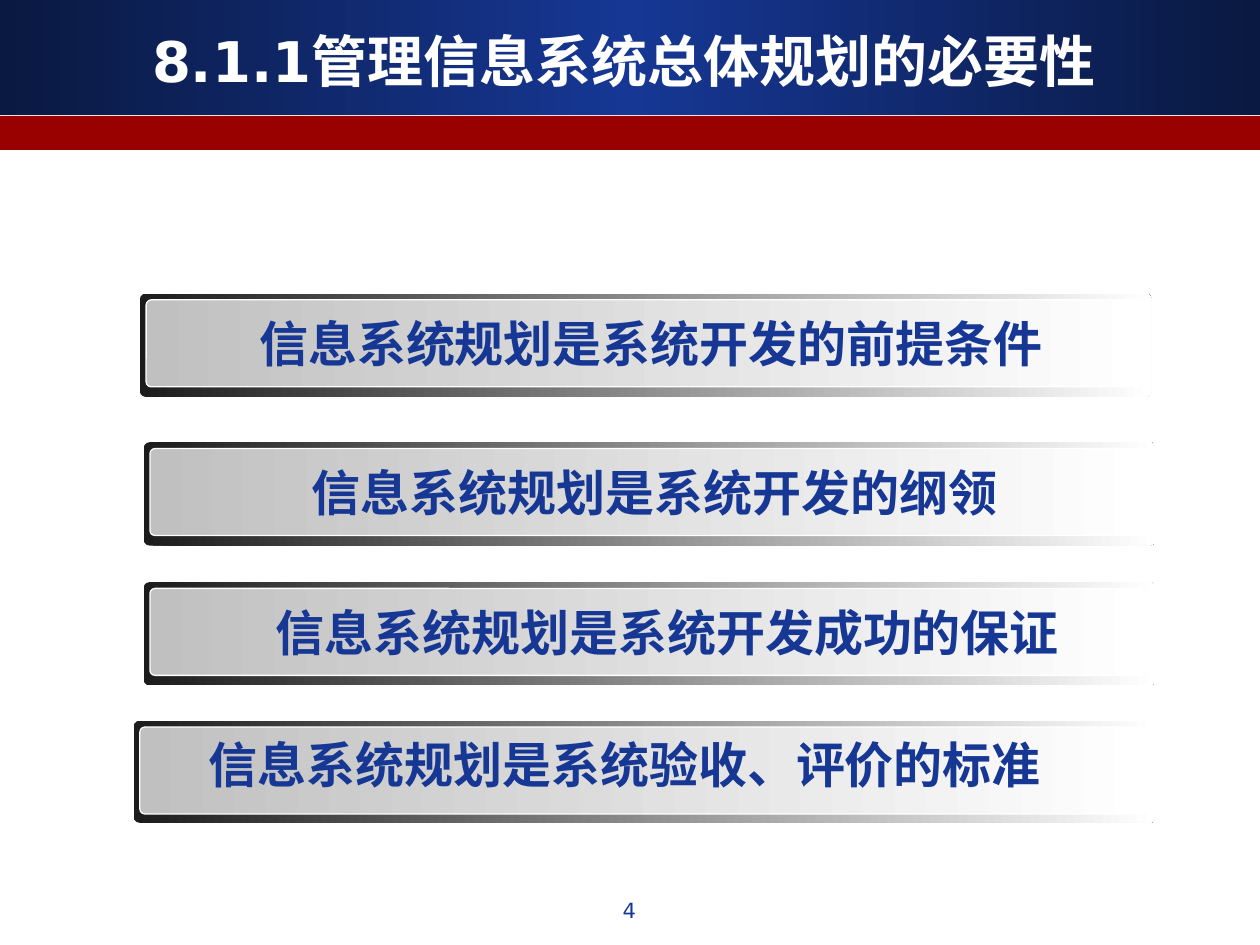
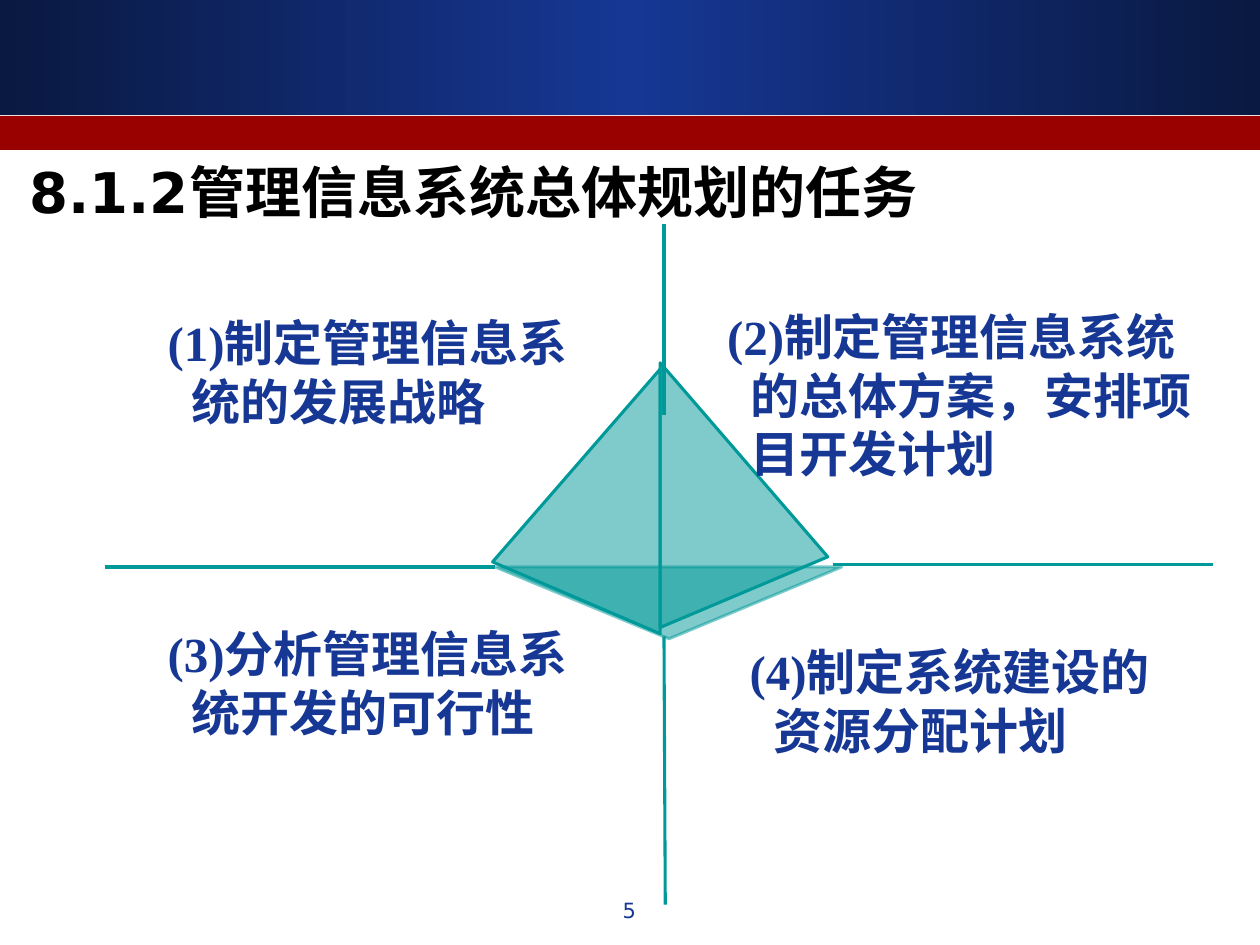
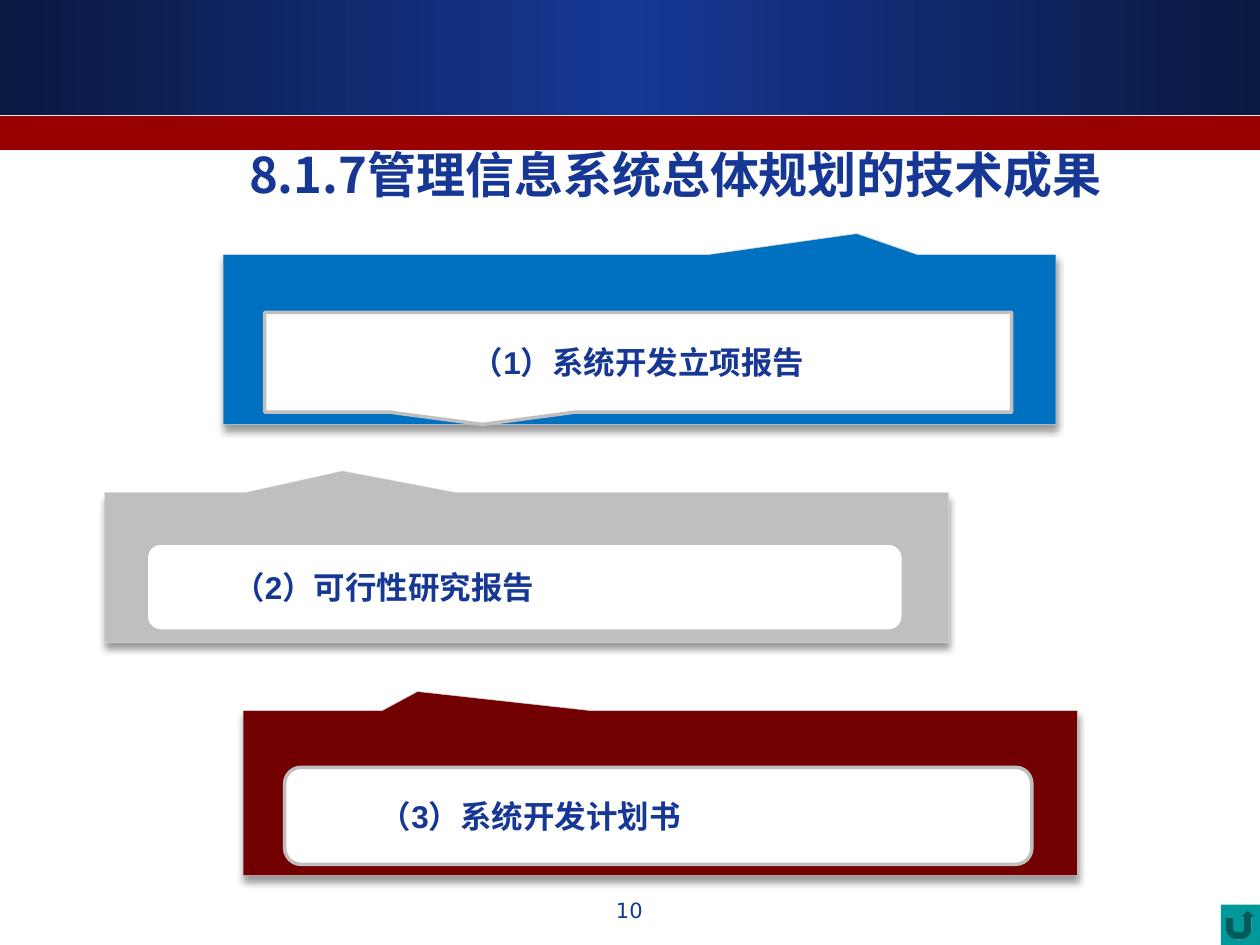
from lxml.etree import SubElement
from pptx import Presentation
from pptx.dml.color import RGBColor
from pptx.enum.shapes import MSO_CONNECTOR, MSO_SHAPE
from pptx.enum.text import MSO_ANCHOR, MSO_AUTO_SIZE, PP_ALIGN
from pptx.oxml.ns import qn
from pptx.util import Inches, Pt

# ---- shared look ----
W, H = 10, 7.5
NAVY, BLUE, RED, TEAL = "0A1941", "163794", "990000", "009999"
WHITE, BLACK, SILVER, PALE = "FFFFFF", "000000", "BFBFBF", "D9D9D9"
SANS, HAN, PLAIN, SERIF = "DejaVu Sans", "Noto Sans CJK SC", "Arial", "Times New Roman"
PADS = (0.1, 0.05, 0.1, 0.05)
LEFT, MID = PP_ALIGN.LEFT, PP_ALIGN.CENTER
ROUND, CALL = MSO_SHAPE.ROUNDED_RECTANGLE, MSO_SHAPE.RECTANGULAR_CALLOUT

# ---- content ----
NEEDS = {
    "page": 4,
    "title": ("8.1.1管理信息系统总体规划的必要性", (0.33, 0.17, 9.25, 0.62), 32, SANS, WHITE),
    # text, left, top, width, height, text height, align, left and right pad
    "bars": [
        ("信息系统规划是系统开发的前提条件", 1.11, 2.33, 8.03, 0.82, 0.57, MID, 0.1, 0.2),
        ("信息系统规划是系统开发的纲领", 1.14, 3.51, 8.03, 0.82, 0.57, MID, 0.1, 0.2),
        ("信息系统规划是系统开发成功的保证", 1.14, 4.62, 8.03, 0.82, 0.57, MID, 0.2, 0.1),
        ("信息系统规划是系统验收、评价的标准", 1.06, 5.72, 8.11, 0.81, 0.53, LEFT, 0.1, 0.1),
    ],
}
TASKS = {
    "page": 5,
    "title": ("8.1.2管理信息系统总体规划的任务", (-0.14, 1.16, 7.8, 0.72), 32, SANS, BLACK),
    "notes": [
        ("(1)制定管理信息系统的发展战略", (1.33, 2.43, 3.35, 1.72), (0, 0.05, 0, 0)),
        ("(2)制定管理信息系统的总体方案，安排项目开发计划",
         (5.72, 2.43, 3.88, 1.41), (0.05, 0, 0, 0)),
        ("(3)分析管理信息系统开发的可行性", (1.33, 4.9, 3.51, 1.37), (0, 0.05, 0, 0)),
        ("(4)制定系统建设的资源分配计划", (5.9, 5.09, 3.51, 1.18), (0.05, 0, 0, 0)),
    ],
    "axes": [(5.27, 1.78, 5.27, 3.29), (0.83, 4.5, 3.93, 4.5),
             (6.61, 4.48, 9.63, 4.48), (5.27, 5.05, 5.28, 7.18)],
    "right": [(5.24, 2.88), (5.24, 4.98), (6.57, 4.42)],
    "left": [(5.24, 2.93), (5.24, 5.03), (3.91, 4.46)],
    "base": [(3.93, 4.5), (6.68, 4.5), (5.31, 5.07)],
}
RESULTS = {
    "page": 10,
    "title": ("8.1.7管理信息系统总体规划的技术成果", (1.46, 1.07, 7.8, 0.62), 28, HAN, BLUE),
    # text, frame, pointer, colour, panel, panel kind, align, indent
    "cards": [
        ("（1）系统开发立项报告", (1.77, 2.02, 6.61, 1.35), (0.261, -0.623), "0070C0",
         (2.1, 2.48, 5.93, 0.79), CALL, MID, 0),
        ("（2）可行性研究报告", (0.83, 3.91, 6.7, 1.19), (-0.218, -0.644), SILVER,
         (1.16, 4.31, 6.01, 0.7), ROUND, LEFT, 0.56),
        ("（3）系统开发计划书", (1.93, 5.64, 6.62, 1.31), (-0.291, -0.616), "730000",
         (2.26, 6.09, 5.93, 0.77), ROUND, LEFT, 0.62),
    ],
}


def rgb(code):
    """Turn a hex string into a colour."""
    return RGBColor.from_string(code)


def fade(node, share):
    """Make every plain colour below a node partly clear."""
    for tint in node.iter(qn("a:srgbClr")):
        SubElement(tint, qn("a:alpha"), val=str(share * 1000))


def blend(shape, tints):
    """Fill a shape with evenly spaced colours from left to right."""
    shape.fill.gradient()
    shape.fill.gradient_angle = 0
    stops = shape._element.spPr.find(qn("a:gradFill")).find(qn("a:gsLst"))
    for stop in list(stops):
        stops.remove(stop)
    for i, tint in enumerate(tints):
        stop = SubElement(stops, qn("a:gs"), pos=str(100000 * i // (len(tints) - 1)))
        SubElement(stop, qn("a:srgbClr"), val=tint)


def paint(shape, fill, line=None, width=1.0):
    """Set a flat or blended fill and an optional outline, without shadow."""
    shape.shadow.inherit = False
    if isinstance(fill, str):
        shape.fill.solid()
        shape.fill.fore_color.rgb = rgb(fill)
    else:
        blend(shape, fill)
    if line:
        shape.line.color.rgb = rgb(line)
        shape.line.width = Pt(width)
    else:
        shape.line.fill.background()


def block(slide, kind, box, fill, line=None, width=1.0, bends=()):
    """Add a painted preset shape."""
    shape = slide.shapes.add_shape(kind, *map(Inches, box))
    for i, bend in enumerate(bends):
        shape.adjustments[i] = bend
    paint(shape, fill, line, width)
    return shape


def shade(shape):
    """Give a shape a soft shadow that falls straight down."""
    drop = SubElement(shape._element.spPr.find(qn("a:effectLst")), qn("a:outerShdw"),
                      blurRad=str(Pt(4)), dist=str(Pt(3)), dir="5400000",
                      algn="t", rotWithShape="0")
    SubElement(drop, qn("a:srgbClr"), val=BLACK)
    fade(drop, 40)


def write(shape, text, size, font, tint, bold=True, align=LEFT,
          pads=PADS, anchor=MSO_ANCHOR.TOP, indent=0, hang=0):
    """Put one formatted paragraph in a shape."""
    frame = shape.text_frame
    frame.word_wrap = True
    frame.vertical_anchor = anchor
    (frame.margin_left, frame.margin_top,
     frame.margin_right, frame.margin_bottom) = map(Inches, pads)
    para = frame.paragraphs[0]
    para.text = text
    para.alignment = align
    props = para._p.get_or_add_pPr()
    props.set("marL", str(Inches(indent)))
    props.set("indent", str(Inches(-hang)))
    run = para.runs[0]
    run.font.size, run.font.bold, run.font.name = Pt(size), bold, font
    run.font.color.rgb = rgb(tint)
    SubElement(run._r.get_or_add_rPr(), qn("a:ea"), typeface=HAN)
    return para


def label(slide, box, *args, **more):
    """Add a text box with one paragraph."""
    shape = slide.shapes.add_textbox(*map(Inches, box))
    return shape, write(shape, *args, **more)


def start(deck, topic):
    """Add a slide with its bands, title and page number."""
    slide = deck.slides.add_slide(deck.slide_layouts[6])
    block(slide, MSO_SHAPE.RECTANGLE, (0, 0, W, 0.91), (NAVY, BLUE, NAVY))
    block(slide, MSO_SHAPE.RECTANGLE, (0, 0.92, W, 0.27), RED)
    text, box, size, font, tint = topic["title"]
    label(slide, box, text, size, font, tint, align=MID, anchor=MSO_ANCHOR.MIDDLE)
    label(slide, (3.83, 7.07, 2.33, 0.35), str(topic["page"]), 12, SANS, BLUE,
          bold=False, align=MID)
    return slide


def facet(slide, points, clear=False):
    """Add a half clear triangle, with a half clear edge if asked."""
    first, *rest = [tuple(map(Inches, p)) for p in points]
    pen = slide.shapes.build_freeform(*first, scale=1.0)
    pen.add_line_segments(rest, close=True)
    shape = pen.convert_to_shape()
    paint(shape, TEAL, TEAL, 1.75)
    props = shape._element.spPr
    fade(props if clear else props.find(qn("a:solidFill")), 50)


def axis(slide, ends):
    """Add a straight teal line."""
    line = slide.shapes.add_connector(MSO_CONNECTOR.STRAIGHT, *map(Inches, ends))
    line.line.color.rgb = rgb(TEAL)
    line.line.width = Pt(1.75)
    SubElement(line._element.spPr, qn("a:effectLst"))


def needs(deck):
    """Build the slide of stacked bars."""
    slide = start(deck, NEEDS)
    for text, x, y, w, h, tall, align, near, far in NEEDS["bars"]:
        block(slide, ROUND, (x, y, w, h), ("1C1C1C", WHITE), bends=[0.058])
        block(slide, ROUND, (x + 0.05, y + 0.05, w - 0.12, 0.69), ("C0C0C0", WHITE),
              WHITE, 0.75, [0.058])
        hang = 0.5 if align == LEFT else 0
        shape, para = label(slide, (x + 0.5, y + 0.11, w - 0.82, tall), text, 28, PLAIN,
                            BLUE, align=align, pads=(near, 0.05, far, 0.05),
                            indent=hang, hang=hang)
        shape.text_frame.auto_size = MSO_AUTO_SIZE.SHAPE_TO_FIT_TEXT
        if hang:
            para.line_spacing = 0.9


def tasks(deck):
    """Build the slide of four tasks around a pyramid."""
    slide = start(deck, TASKS)
    facet(slide, TASKS["right"])
    for ends in TASKS["axes"]:
        axis(slide, ends)
    facet(slide, TASKS["left"])
    for text, box, pads in TASKS["notes"]:
        label(slide, box, text, 28, SERIF, BLUE, pads=pads, indent=0.19, hang=0.19)
    facet(slide, TASKS["base"], clear=True)


def results(deck):
    """Build the slide of three report cards."""
    slide = start(deck, RESULTS)
    for text, box, bends, tint, inner, kind, align, indent in RESULTS["cards"]:
        shade(block(slide, CALL, box, tint, PALE, 0.25, bends))
        panel = block(slide, kind, inner, WHITE, SILVER, 2)
        write(panel, text, 18, PLAIN, BLUE, align=align,
              anchor=MSO_ANCHOR.MIDDLE, indent=indent)
    block(slide, MSO_SHAPE.ACTION_BUTTON_RETURN, (W - 0.31, H - 0.32, 0.31, 0.32), TEAL)


deck = Presentation()
deck.slide_width, deck.slide_height = Inches(W), Inches(H)
for build in (needs, tasks, results):
    build(deck)
deck.save("out.pptx")
